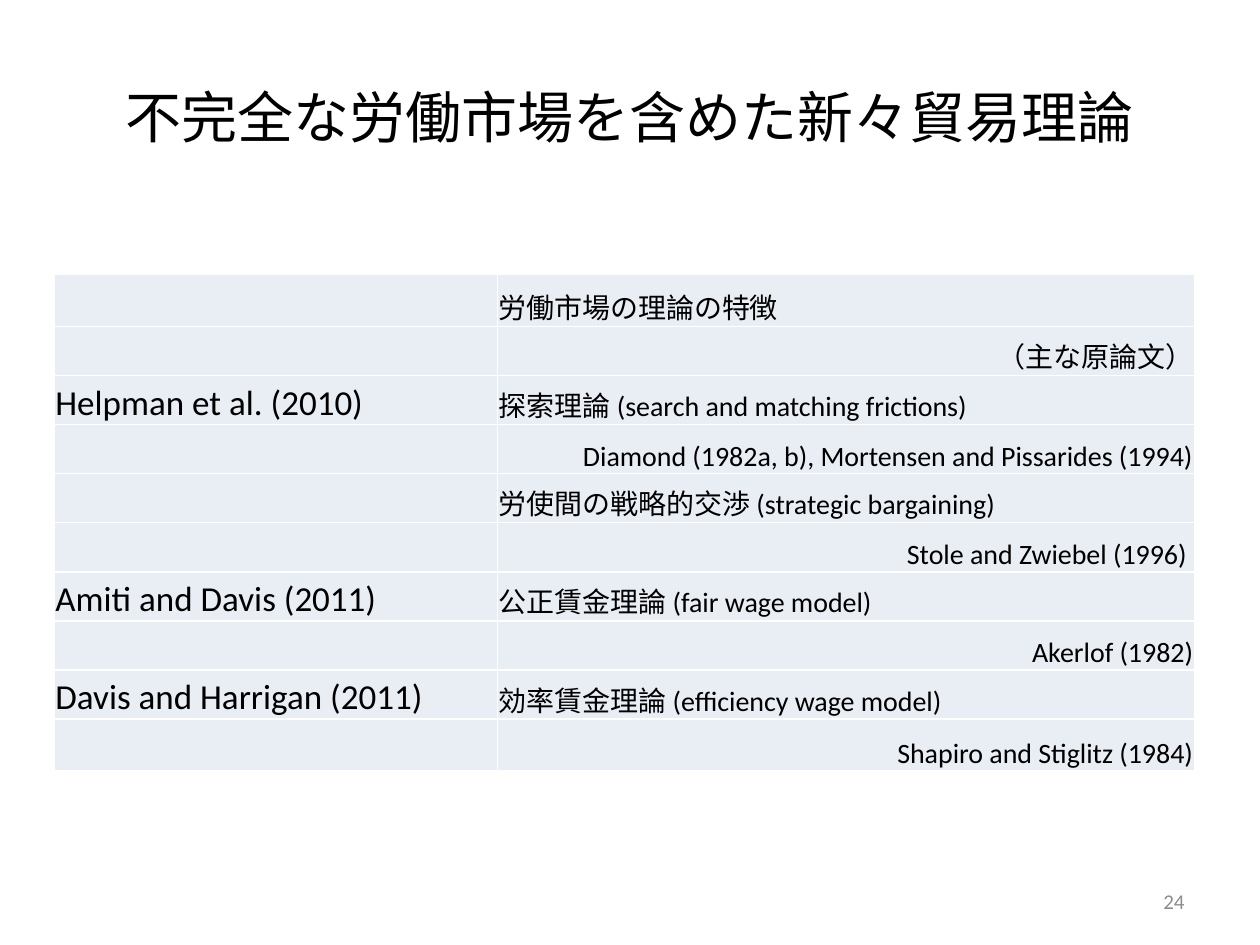
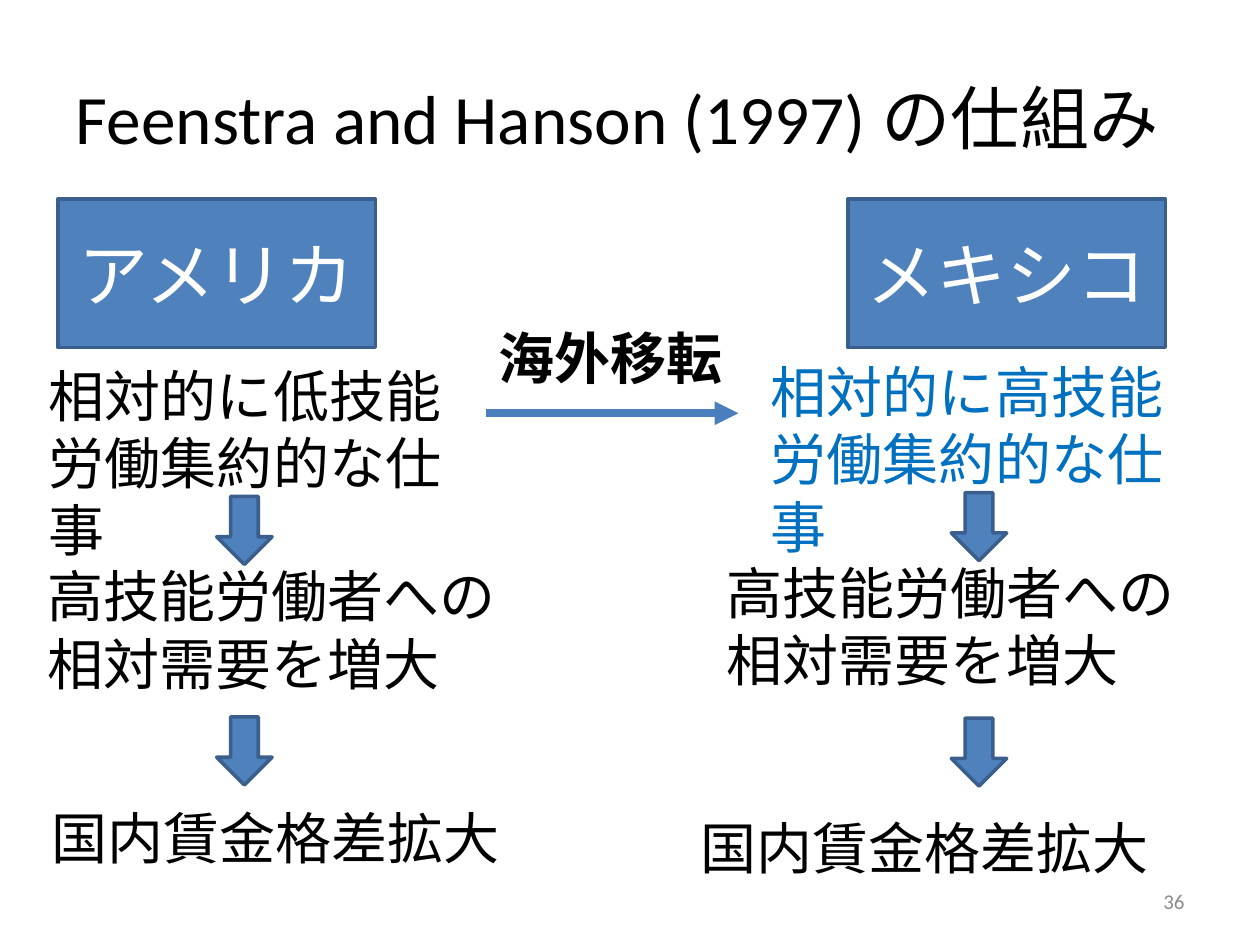
from dataclasses import dataclass

from pptx import Presentation
from pptx.dml.color import RGBColor
from pptx.enum.shapes import MSO_CONNECTOR as Connector, MSO_SHAPE as Preset
from pptx.enum.text import MSO_ANCHOR as Anchor, PP_ALIGN as Align
from pptx.oxml import parse_xml
from pptx.oxml.ns import nsdecls, qn
from pptx.util import Inches, Pt


@dataclass(frozen=True)
class Theme:
    font: str = "Calibri"
    black: str = "000000"
    white: str = "FFFFFF"
    accent: str = "4F81BD"
    accent_edge: str = "3A5F8C"
    arrow: str = "4B7EBC"
    highlight: str = "0070C0"
    page_number: str = "8C8C8C"
    cell: str = "E9EDF4"
    country_size: float = 40
    body_size: float = 32
    model_size: float = 20
    theory_size: float = 16
    page_size: float = 12


THEME = Theme()
TITLE_ONLY = 5

# Each row: model, theory, whether the theory cell is a right-aligned source
THEORY_ROWS = [
    ("", "労働市場の理論の特徴", False),
    ("", "（主な原論文）", True),
    ("Helpman et al. (2010)", "探索理論 (search and matching frictions)", False),
    ("", "Diamond (1982a, b), Mortensen and Pissarides (1994)", True),
    ("", "労使間の戦略的交渉 (strategic bargaining)", False),
    ("", "Stole and Zwiebel (1996) ", True),
    ("Amiti and Davis (2011)", "公正賃金理論 (fair wage model)", False),
    ("", "Akerlof (1982)", True),
    ("Davis and Harrigan (2011)", "効率賃金理論 (efficiency wage model)", False),
    ("", "Shapiro and Stiglitz (1984)", True),
]


def set_attributes(target, values):
    for name, value in values.items():
        setattr(target, name, value)


def inches(*lengths):
    return [Inches(length) for length in lengths]


def write_text(frame, lines, size, color=THEME.black, align=Align.LEFT, bold=False):
    """Fill a text frame with one paragraph for each line."""
    for index, line in enumerate(lines):
        paragraph = frame.add_paragraph() if index else frame.paragraphs[0]
        paragraph.alignment = align
        run = paragraph.add_run()
        run.text = line
        set_attributes(run.font, {"name": THEME.font, "size": Pt(size), "bold": bold})
        run.font.color.rgb = RGBColor.from_string(color)


def add_text(slide, box, lines, size=THEME.body_size, anchor=Anchor.TOP, **style):
    frame = slide.shapes.add_textbox(*inches(*box)).text_frame
    set_attributes(frame, {"word_wrap": True, "vertical_anchor": anchor})
    write_text(frame, lines, size, **style)


def add_titled_slide(presentation, title, left, size, number):
    """Start a slide with its title and page number."""
    slide = presentation.slides.add_slide(presentation.slide_layouts[TITLE_ONLY])
    place = dict(zip(("left", "top", "width", "height"), inches(left, 0.3, 9, 1.25)))
    set_attributes(slide.shapes.title, place)
    frame = slide.shapes.title.text_frame
    frame.vertical_anchor = Anchor.MIDDLE
    write_text(frame, [title], size, align=Align.CENTER)
    add_text(slide, (7.17, 6.95, 2.33, 0.4), [str(number)], THEME.page_size,
             Anchor.MIDDLE, color=THEME.page_number, align=Align.RIGHT)
    return slide


def add_accent_shape(slide, preset, box):
    shape = slide.shapes.add_shape(preset, *inches(*box))
    shape.shadow.inherit = False
    shape.fill.solid()
    shape.fill.fore_color.rgb = RGBColor.from_string(THEME.accent)
    shape.line.color.rgb = RGBColor.from_string(THEME.accent_edge)
    shape.line.width = Pt(2)
    return shape


def add_country(slide, left, name):
    frame = add_accent_shape(slide, Preset.RECTANGLE, (left, 1.58, 2.52, 1.18)).text_frame
    frame.vertical_anchor = Anchor.MIDDLE
    write_text(frame, [name], THEME.country_size, THEME.white, Align.CENTER)


def add_arrow(slide, start, end):
    connector = slide.shapes.add_connector(Connector.STRAIGHT, *inches(*start, *end))
    connector.line.color.rgb = RGBColor.from_string(THEME.arrow)
    connector.line.width = Pt(4.5)
    properties = connector.element.spPr
    properties.find(qn("a:ln")).append(
        parse_xml(f'<a:tailEnd {nsdecls("a")} type="triangle"/>'))
    properties.append(parse_xml(f'<a:effectLst {nsdecls("a")}/>'))


def format_cell(cell):
    """Give a cell its fill, narrow margins and white borders."""
    cell.fill.solid()
    cell.fill.fore_color.rgb = RGBColor.from_string(THEME.cell)
    margin = Inches(0.01)
    set_attributes(cell, {
        "margin_left": margin, "margin_right": margin, "margin_top": margin,
        "margin_bottom": 0, "vertical_anchor": Anchor.BOTTOM,
    })
    properties = cell._tc.get_or_add_tcPr()
    for index, side in enumerate(("lnL", "lnR", "lnT", "lnB")):
        properties.insert(index, parse_xml(
            f'<a:{side} {nsdecls("a")} w="{Pt(1)}"><a:solidFill>'
            f'<a:srgbClr val="{THEME.white}"/></a:solidFill></a:{side}>'))


def add_theory_table(slide):
    table = slide.shapes.add_table(
        len(THEORY_ROWS), 2, *inches(0.43, 2.18, 9.05, 3.94)).table
    set_attributes(table, {"first_row": False, "horz_banding": False})
    for column, width in zip(table.columns, (3.52, 5.53)):
        column.width = Inches(width)
    last = len(THEORY_ROWS) - 1
    for index, (model, theory, is_source) in enumerate(THEORY_ROWS):
        table.rows[index].height = Inches(0.41 if index in (0, last) else 0.39)
        model_cell, theory_cell = table.rows[index].cells
        format_cell(model_cell)
        format_cell(theory_cell)
        if model:
            write_text(model_cell.text_frame, [model], THEME.model_size)
        write_text(theory_cell.text_frame, [theory], THEME.theory_size,
                   align=Align.RIGHT if is_source else Align.LEFT)


def add_country_flow(slide, name, country_left, work, demand_at, gap_at, arrow_left, arrow_tops):
    """Draw one country's chain from the work moved to the wage gap."""
    add_country(slide, country_left, name)
    work_at, skill, color = work
    add_text(slide, (*work_at, 3.75, 1.18), [f"相対的に{skill}技能", "労働集約的な仕事"], color=color)
    add_text(slide, (*demand_at, 3.79, 1.18), ["高技能労働者への", "相対需要を増大"])
    add_text(slide, (*gap_at, 3.79, 0.64), ["国内賃金格差拡大"])
    for top in arrow_tops:
        add_accent_shape(slide, Preset.DOWN_ARROW, (arrow_left, top, 0.44, 0.54))


def main():
    presentation = Presentation()
    set_attributes(presentation, {"slide_width": Inches(10), "slide_height": Inches(7.5)})

    # Theories of imperfect labour markets
    slide = add_titled_slide(
        presentation, "不完全な労働市場を含めた新々貿易理論", 0.5, 32, 24)
    add_theory_table(slide)

    # Offshoring between two countries
    slide = add_titled_slide(
        presentation, "Feenstra and Hanson (1997) の仕組み", 0.4, 39.6, 36)
    add_country_flow(slide, "アメリカ", 0.46, ((0.29, 2.82), "低", THEME.black),
                     (0.28, 4.41), (0.31, 6.33), 1.72, (3.94, 5.69))
    add_country_flow(slide, "メキシコ", 6.73, ((6.02, 2.79), "高", THEME.highlight),
                     (5.67, 4.38), (5.46, 6.41), 7.55, (3.91, 5.7))
    add_text(slide, (3.86, 2.52, 2, 0.64), ["海外移転"], bold=True)
    add_arrow(slide, (3.86, 3.28), (5.86, 3.28))

    presentation.save("out.pptx")


if __name__ == "__main__":
    main()
